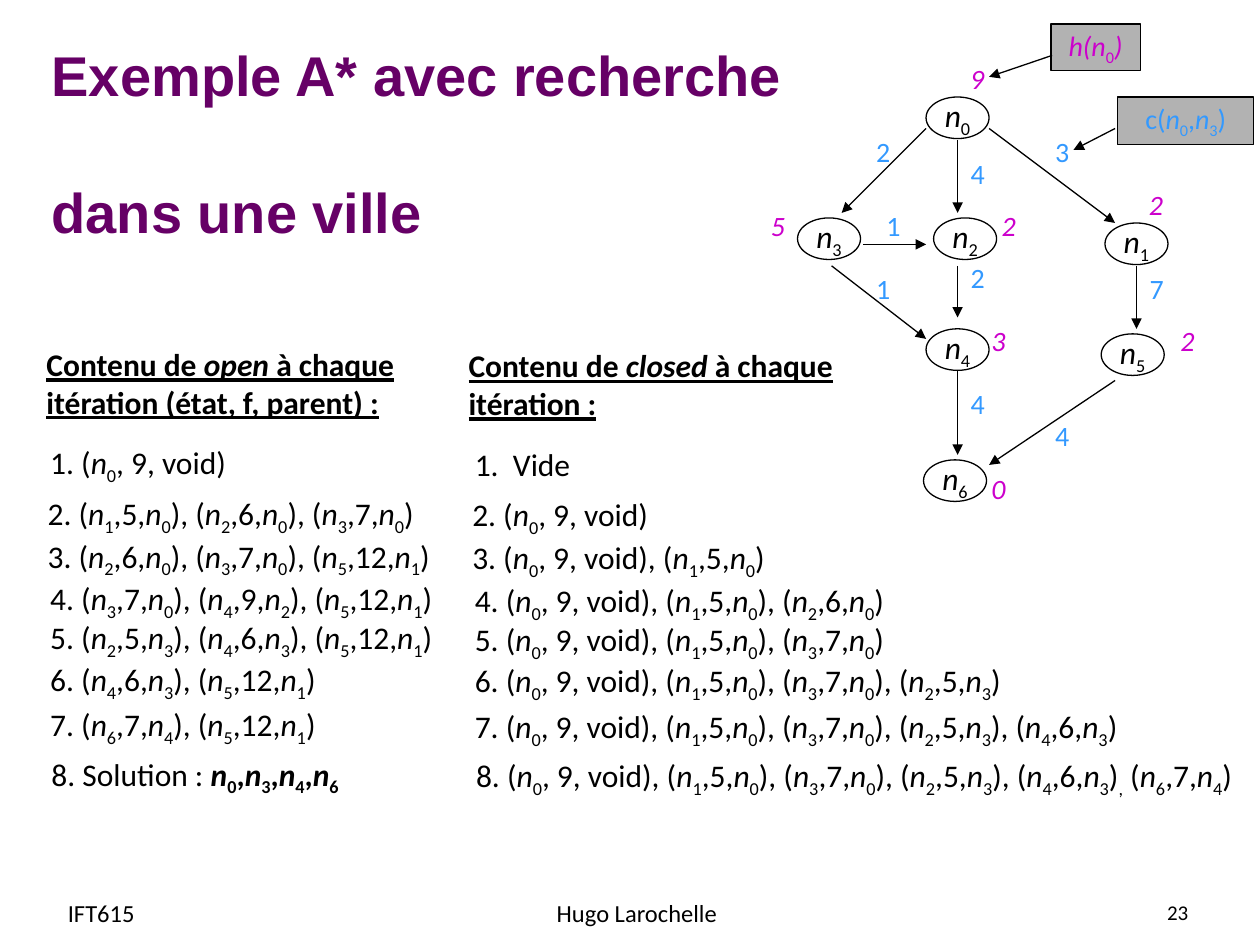
from dataclasses import dataclass

from lxml.etree import SubElement
from pptx import Presentation
from pptx.dml.color import RGBColor
from pptx.enum.shapes import MSO_CONNECTOR, MSO_SHAPE
from pptx.enum.text import MSO_ANCHOR, PP_ALIGN
from pptx.oxml.ns import qn
from pptx.util import Inches, Pt


@dataclass(frozen=True)
class Theme:
    heading_font: str = "Arial"
    body_font: str = "Calibri"
    title: RGBColor = RGBColor(0x66, 0x00, 0x66)
    ink: RGBColor = RGBColor(0x00, 0x00, 0x00)
    heuristic: RGBColor = RGBColor(0xCC, 0x00, 0xCC)
    cost: RGBColor = RGBColor(0x33, 0x99, 0xFF)
    key_fill: RGBColor = RGBColor(0xB2, 0xB2, 0xB2)
    title_size: Pt = Pt(32)
    body_size: Pt = Pt(18)
    label_size: Pt = Pt(16)
    footer_size: Pt = Pt(14)
    number_size: Pt = Pt(12)
    line_width: Pt = Pt(0.75)


theme = Theme()
prs = Presentation()
prs.slide_width, prs.slide_height = Inches(10), Inches(7.5)
slide = prs.slides.add_slide(prs.slide_layouts[5])
shapes = slide.shapes


def write(shape, text, size=theme.body_size, color=theme.ink,
          align=PP_ALIGN.LEFT, wrap=True, italic=False):
    """Fill a shape; "_" lowers the next character, an "n" before it is italic."""
    shape.text_frame.word_wrap = wrap
    paragraph = shape.text_frame.paragraphs[0]
    paragraph.alignment = align
    font = paragraph.font
    font.name, font.size, font.color.rgb = theme.body_font, size, color
    parts = text.split("_")
    for index, part in enumerate(parts):
        pieces = []
        if index:
            pieces.append((part[0], False, True))
            part = part[1:]
        if index < len(parts) - 1 and part.endswith("n"):
            pieces += [(part[:-1], italic, False), ("n", True, False)]
        else:
            pieces.append((part, italic, False))
        for content, slanted, lowered in pieces:
            if content:
                run = paragraph.add_run()
                run.text = content
                run.font.italic = slanted
                if lowered:
                    run.font._element.set("baseline", "-25000")
    return paragraph


def outlined(preset, left, top, width, height):
    shape = shapes.add_shape(preset, Inches(left), Inches(top), Inches(width), Inches(height))
    shape.shadow.inherit = False
    shape.fill.background()
    shape.line.color.rgb = theme.ink
    shape.line.width = theme.line_width
    return shape


# Title
title = shapes.title
title.left, title.top, title.width, title.height = map(Inches, (0.31, 0.1, 6.09, 2.07))
title.text_frame.vertical_anchor = MSO_ANCHOR.MIDDLE
title.text_frame.text = "Exemple A* avec recherche\ndans une ville"
for line in title.text_frame.paragraphs:
    line.alignment = PP_ALIGN.LEFT
    line.font.name, line.font.size = theme.heading_font, theme.title_size
    line.font.color.rgb, line.font.bold = theme.title, True
title.text_frame.paragraphs[1].space_before = Pt(40)

# Graph nodes
nodes = [(0, 7.35, 0.77), (3, 6.33, 1.73), (2, 7.41, 1.73), (1, 8.77, 1.77),
         (4, 7.35, 2.61), (6, 7.33, 3.65), (5, 8.74, 2.65)]
for number, left, top in nodes:
    node = outlined(MSO_SHAPE.OVAL, left, top, 0.5, 0.33)
    frame = node.text_frame
    frame.margin_left = frame.margin_right = frame.margin_top = frame.margin_bottom = 0
    write(node, f"n_{number}", align=PP_ALIGN.CENTER, wrap=False)

# Keys for the two kinds of values
heuristic_key = outlined(MSO_SHAPE.RECTANGLE, 8.34, 0.19, 0.71, 0.37)
write(heuristic_key, "h(n_0)", theme.label_size, theme.heuristic, PP_ALIGN.CENTER, False, True)
cost_key = outlined(MSO_SHAPE.RECTANGLE, 8.87, 0.77, 1.08, 0.38)
write(cost_key, "c(n_0,n_3)", theme.label_size, theme.cost, PP_ALIGN.CENTER)
for key in (heuristic_key, cost_key):
    key.fill.solid()
    key.fill.fore_color.rgb = theme.key_fill

# Arrows: graph edges, then the two key pointers
arrows = [
    (7.6, 1.11, 7.6, 1.69), (7.85, 1.02, 8.85, 1.77), (7.35, 1.02, 6.68, 1.69),
    (6.85, 1.94, 7.35, 1.94), (6.6, 2.11, 7.35, 2.69), (7.6, 2.11, 7.6, 2.52),
    (7.6, 2.94, 7.6, 3.61), (9.02, 2.11, 9.02, 2.61), (8.85, 3.02, 7.85, 3.69),
    (8.35, 0.44, 7.85, 0.61), (8.85, 1.02, 8.52, 1.19),
]
for ends in arrows:
    arrow = shapes.add_connector(MSO_CONNECTOR.STRAIGHT, *map(Inches, ends))
    arrow.line.color.rgb = theme.ink
    arrow.line.width = theme.line_width
    SubElement(arrow.line._get_or_add_ln(), qn("a:tailEnd"), type="triangle")
    SubElement(arrow._element.spPr, qn("a:effectLst"))

# Values beside nodes and edges
heuristics = [("9", 7.57, 0.44), ("2", 8.99, 1.44), ("3", 7.74, 2.52), ("2", 9.24, 2.52),
              ("2", 7.82, 1.61), ("5", 5.99, 1.61), ("0", 7.74, 3.69)]
costs = [("2", 6.85, 1.02), ("3", 8.27, 1.02), ("1", 6.93, 1.61), ("1", 6.85, 2.11),
         ("7", 9.02, 2.11), ("2", 7.6, 2.02), ("4", 7.6, 3.02), ("4", 8.27, 3.27),
         ("4", 7.6, 1.19)]
for values, width, color, italic in ((heuristics, 0.37, theme.heuristic, True),
                                     (costs, 0.32, theme.cost, False)):
    for value, left, top in values:
        label = shapes.add_textbox(Inches(left), Inches(top), Inches(width), Inches(0.37))
        write(label, value, theme.label_size, color, PP_ALIGN.CENTER, False, italic)

# Column headings
for left, top, list_name, rest in ((0.27, 2.69, "open", " à chaque itération (état, f, parent) :"),
                                   (3.62, 2.7, "closed", " à chaque itération :")):
    heading = shapes.add_textbox(Inches(left), Inches(top), Inches(3.42), Inches(0.7))
    paragraph = write(heading, "Contenu de ")
    paragraph.font.bold = paragraph.font.underline = True
    for content, italic in ((list_name, True), (rest, False)):
        run = paragraph.add_run()
        run.text, run.font.italic = content, italic

# Iterations: left and top of the open entry, open entry, closed entry
iterations = [
    (0.3, 3.47, "1. (n_0, 9, void)", "1.  Vide"),
    (0.28, 3.87, "2. (n_1,5,n_0), (n_2,6,n_0), (n_3,7,n_0)", "2. (n_0, 9, void)"),
    (0.28, 4.21, "3. (n_2,6,n_0), (n_3,7,n_0), (n_5,12,n_1)", "3. (n_0, 9, void), (n_1,5,n_0)"),
    (0.3, 4.55, "4. (n_3,7,n_0), (n_4,9,n_2), (n_5,12,n_1)",
     "4. (n_0, 9, void), (n_1,5,n_0), (n_2,6,n_0)"),
    (0.3, 4.86, "5. (n_2,5,n_3), (n_4,6,n_3), (n_5,12,n_1)",
     "5. (n_0, 9, void), (n_1,5,n_0), (n_3,7,n_0)"),
    (0.3, 5.19, "6. (n_4,6,n_3), (n_5,12,n_1)",
     "6. (n_0, 9, void), (n_1,5,n_0), (n_3,7,n_0), (n_2,5,n_3)"),
    (0.3, 5.55, "7. (n_6,7,n_4), (n_5,12,n_1)",
     "7. (n_0, 9, void), (n_1,5,n_0), (n_3,7,n_0), (n_2,5,n_3), (n_4,6,n_3)"),
    (0.31, 5.94, "8. Solution : n_0,n_3,n_4,n_6",
     "8. (n_0, 9, void), (n_1,5,n_0), (n_3,7,n_0), (n_2,5,n_3), (n_4,6,n_3)_, (n_6,7,n_4)"),
]
for left, top, open_entry, closed_entry in iterations:
    for x, y, width, entry in ((left, top, 3.89, open_entry),
                               (left + 3.37, top + 0.01, 6.3, closed_entry)):
        row = shapes.add_textbox(Inches(x), Inches(y), Inches(width), Inches(0.4))
        paragraph = write(row, entry)
        if "Solution" in entry:
            for run in paragraph.runs[1:]:
                run.font.bold = True

# Footer
footers = [("IFT615", 0.44, 1.93, theme.footer_size, PP_ALIGN.LEFT),
           ("Hugo Larochelle", 3.47, 3.17, theme.footer_size, PP_ALIGN.CENTER),
           ("23", 7.2, 2.33, theme.number_size, PP_ALIGN.RIGHT)]
for text, left, width, size, align in footers:
    footer = shapes.add_textbox(Inches(left), Inches(7.04), Inches(width), Inches(0.4))
    footer.text_frame.vertical_anchor = MSO_ANCHOR.MIDDLE
    write(footer, text, size, align=align)

prs.save("out.pptx")
